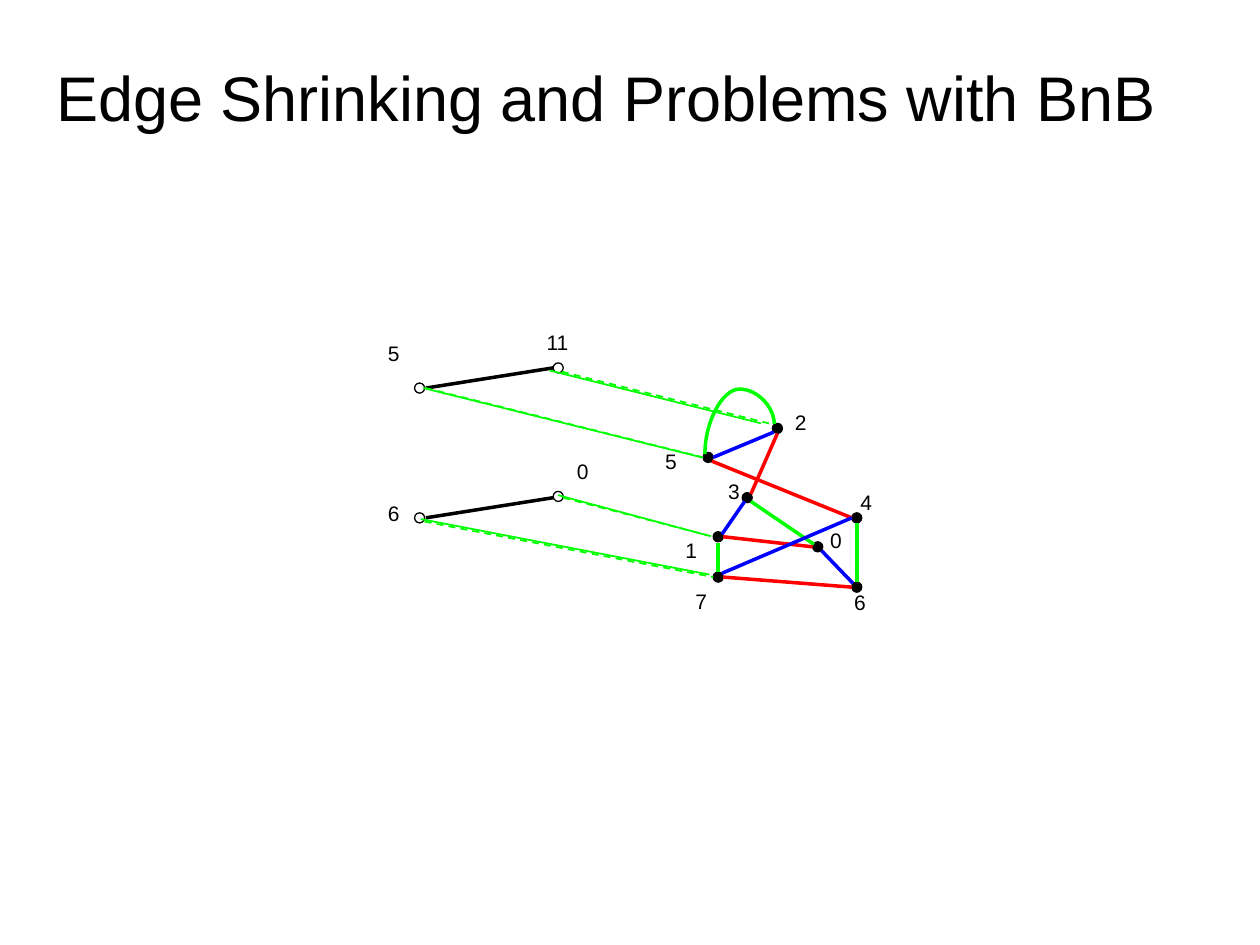
"""Build the slide on edge shrinking and branch-and-bound problems."""
import pptx
import pptx.dml.color
import pptx.enum.dml
import pptx.enum.shapes
import pptx.enum.text
import pptx.oxml
import pptx.oxml.ns
import pptx.util

Inches = pptx.util.Inches
Pt = pptx.util.Pt
RGBColor = pptx.dml.color.RGBColor
Connector = pptx.enum.shapes.MSO_CONNECTOR
qn = pptx.oxml.ns.qn

BLACK = RGBColor(0, 0, 0)
RED = RGBColor(255, 0, 0)
GREEN = RGBColor(0, 255, 0)
BLUE = RGBColor(0, 0, 255)
NODE_SIZE = 0.08

deck = pptx.Presentation()
deck.slide_width = Inches(10)
deck.slide_height = Inches(7.5)
page = deck.slides.add_slide(deck.slide_layouts[6])


def add_text(text, left, top, width, height, size):
    box = page.shapes.add_textbox(Inches(left), Inches(top), Inches(width), Inches(height))
    span = box.text_frame.paragraphs[0].add_run()
    span.text = text
    span.font.name = "Arial"
    span.font.size = Pt(size)
    span.font.color.rgb = BLACK
    return box.text_frame


def add_edge(start, end, color, weight, kind=Connector.STRAIGHT):
    edge = page.shapes.add_connector(kind, *(Inches(value) for value in start + end))
    edge.line.color.rgb = color
    edge.line.width = Pt(weight)
    edge._element.spPr.append(pptx.oxml.parse_xml(
        '<a:effectLst xmlns:a="http://schemas.openxmlformats.org/drawingml/2006/main"/>'))
    return edge


title = add_text("Edge Shrinking and Problems with BnB", 0.35, 0.35, 9, 0.83, 36)
title.word_wrap = True
title.vertical_anchor = pptx.enum.text.MSO_ANCHOR.MIDDLE

solid_nodes = [
    (5.58, 3.59), (6.13, 3.36), (5.89, 3.91), (6.76, 4.07),
    (5.66, 4.22), (6.45, 4.3), (6.76, 4.62), (5.66, 4.54),
]
hollow_nodes = [(3.29, 3.04), (3.29, 4.07), (4.39, 2.88), (4.39, 3.9)]
for left, top in solid_nodes + hollow_nodes:
    node = page.shapes.add_shape(
        pptx.enum.shapes.MSO_SHAPE.OVAL,
        Inches(left), Inches(top), Inches(NODE_SIZE), Inches(NODE_SIZE))
    node.shadow.inherit = False
    node.line.color.rgb = BLACK
    node.line.width = Pt(0.75)
    if (left, top) in solid_nodes:
        node.fill.solid()
        node.fill.fore_color.rgb = BLACK
    else:
        node.fill.background()

thick_edges = [
    ((5.66, 3.63), (6.14, 3.43), BLUE),
    ((6.17, 3.44), (5.96, 3.92), RED),
    ((5.65, 3.66), (6.76, 4.11), RED),
    ((5.91, 3.98), (5.73, 4.24), BLUE),
    ((5.96, 3.98), (6.46, 4.32), GREEN),
    ((5.74, 4.26), (6.45, 4.34), RED),
    ((6.52, 4.37), (6.77, 4.63), BLUE),
    ((6.76, 4.11), (5.73, 4.55), BLUE),
    ((5.7, 4.54), (5.7, 4.31), GREEN),
    ((6.8, 4.15), (6.8, 4.62), GREEN),
    ((5.74, 4.58), (6.76, 4.66), RED),
    ((3.38, 4.11), (4.39, 3.95), BLACK),
    ((3.38, 3.08), (4.39, 2.92), BLACK),
]
for start, end, color in thick_edges:
    add_edge(start, end, color, 2)

arc = add_edge((5.75, 3.21), (5.99, 3.76), GREEN, 2, Connector.CURVE)
frame = arc._element.spPr.find(qn("a:xfrm"))
for name, value in (("rot", "16200000"), ("flipH", "1"), ("flipV", "1")):
    frame.set(name, value)
bend = arc._element.spPr.find(qn("a:prstGeom")).get_or_add_avLst()
guide = bend.makeelement(qn("a:gd"), {"name": "adj1", "fmla": "val -115300"})
bend.append(guide)

dashed_edges = [
    ((4.46, 2.95), (6.14, 3.37)),
    ((4.47, 3.95), (5.66, 4.26)),
    ((3.37, 4.14), (5.66, 4.58)),
    ((3.38, 3.08), (5.58, 3.63)),
]
for start, end in dashed_edges:
    add_edge(start, end, GREEN, 1).line.dash_style = pptx.enum.dml.MSO_LINE.DASH

thin_edges = [
    ((3.36, 3.08), (5.57, 3.63)),
    ((4.36, 2.94), (6.04, 3.36)),
    ((3.34, 4.12), (5.63, 4.56)),
    ((4.43, 3.93), (5.62, 4.25)),
]
for start, end in thin_edges:
    add_edge(start, end, GREEN, 1)

labels = [
    ("2", 6.21, 3.2), ("5", 5.18, 3.51), ("3", 5.68, 3.75), ("1", 5.34, 4.22),
    ("7", 5.42, 4.62), ("6", 6.68, 4.63), ("0", 6.49, 4.14), ("4", 6.73, 3.84),
    ("5", 2.98, 2.65), ("11", 4.24, 2.57), ("0", 4.48, 3.59), ("6", 2.98, 3.92),
]
for text, left, top in labels:
    label = add_text(text, left, top, 0.2 + 0.09 * len(text), 0.3, 12)
    label.word_wrap = False
    label.auto_size = pptx.enum.text.MSO_AUTO_SIZE.SHAPE_TO_FIT_TEXT

deck.save("out.pptx")
